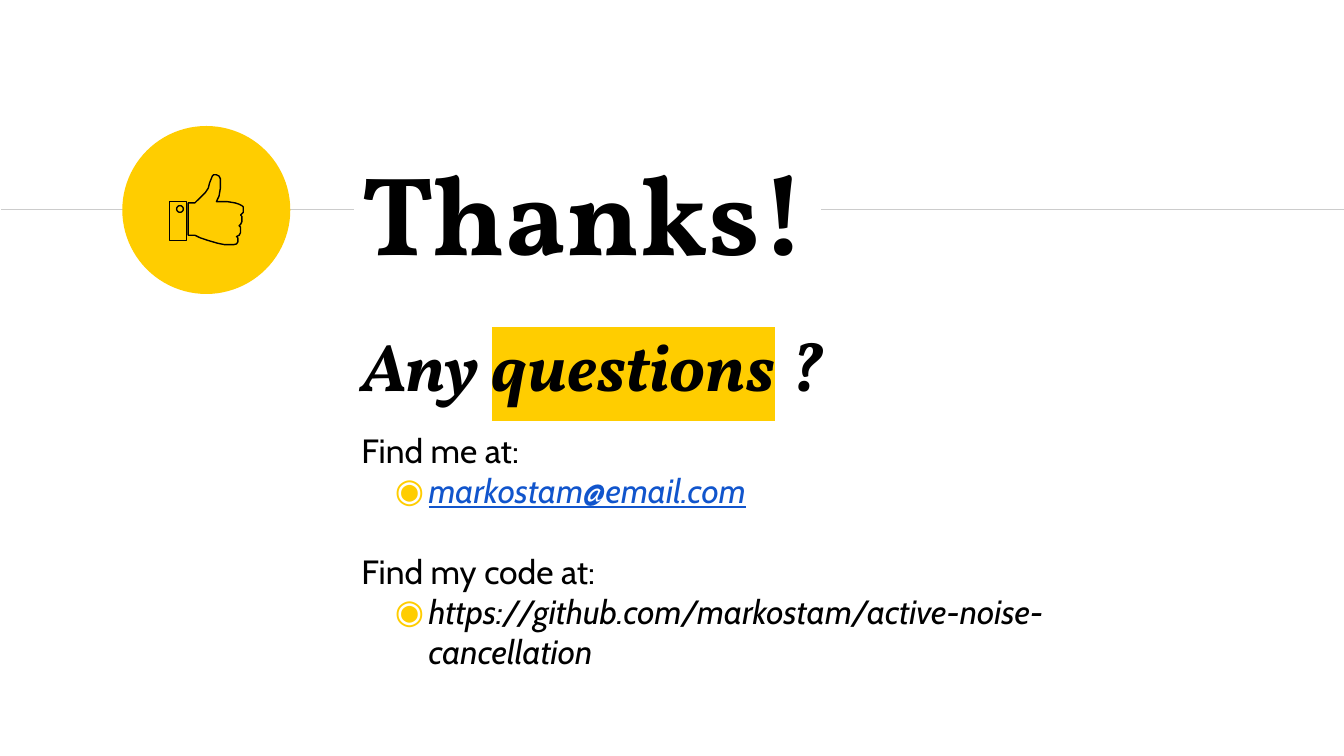
from math import cos, pi, sin

from lxml.etree import SubElement
from pptx import Presentation
from pptx.dml.color import RGBColor
from pptx.enum.shapes import MSO_CONNECTOR as Connector, MSO_SHAPE as Shape
from pptx.enum.text import MSO_ANCHOR as Anchor
from pptx.oxml import parse_xml
from pptx.oxml.ns import nsdecls, qn
from pptx.util import Pt

BLACK = RGBColor(0x00, 0x00, 0x00)
YELLOW = RGBColor(0xFF, 0xCD, 0x00)
GREY = RGBColor(0xCC, 0xCC, 0xCC)
BLUE = RGBColor(0x11, 0x55, 0xCC)
SERIF, SANS = "Vollkorn", "Cabin"

# Content: each paragraph is (layout, runs), each run is (text, format)
QUESTION = dict(font=SERIF, size=36, bold=True, italic=True)
TITLE = [({}, [("Thanks!", dict(font=SERIF, size=60, bold=True))])]
CONTACT = [
    ({}, [("Any ", QUESTION),
          ("questions", dict(QUESTION, highlight=YELLOW)),
          (" ?", QUESTION)]),
    (dict(before=13.5), [("Find me at:", {})]),
    (dict(bullet="◉"),
     [("markostam@email.com", dict(color=BLUE, italic=True, underline=True))]),
    (dict(before=21.6), [("Find my code at:", {})]),
    (dict(bullet="◉"),
     [("https://github.com/markostam/active-noise-cancellation",
       dict(italic=True))]),
]

# Thumb icon outlines, in grid steps
GRID = 0.72
CUFF = [(126, 150), (126, 179), (139, 179), (139, 150)]
BUTTON_CENTER, BUTTON_RADIUS, BUTTON_SIDES = (134, 155.5), 2.5, 16
HAND = [
    (140, 175), (145, 175), (149, 177), (155, 179), (162, 181), (167, 182),
    (174, 182), (176, 181.5), (177, 180), (177, 177), (176, 176), (178, 175),
    (179, 173), (179, 169), (178, 168), (179, 167), (180, 165), (180, 161),
    (179, 160), (180, 159), (181, 158), (181, 154), (180, 153), (178, 152),
    (175, 151), (169, 150), (161, 150), (163, 146), (164, 140), (164, 133),
    (163, 131), (161, 130), (159, 130), (158, 131), (156, 136), (155, 140),
    (153, 143), (148, 148), (145, 151), (140, 151),
]

# Lines on either side of the title, as (start, end)
RULE_Y = 112.3
RULES = [(0.7, 189.4), (439.9, 720)]


def add_run(paragraph, text, font=SANS, size=18, color=BLACK, bold=False,
            italic=False, underline=False, highlight=None):
    run = paragraph.add_run()
    run.text = text
    style = run.font
    style.name, style.size = font, Pt(size)
    style.bold, style.italic, style.underline = bold, italic, underline
    style.color.rgb = color
    if highlight is not None:
        fill = run._r.rPr.find(qn("a:solidFill"))
        fill.addnext(parse_xml(
            f'<a:highlight {nsdecls("a")}><a:srgbClr val="{highlight}"/></a:highlight>'))


def add_bullet(paragraph, mark):
    props = paragraph._p.get_or_add_pPr()
    props.set("marL", str(Pt(36)))
    props.set("indent", str(Pt(-18)))
    tint = SubElement(props, qn("a:buClr"))
    SubElement(tint, qn("a:srgbClr"), val=str(YELLOW))
    SubElement(props, qn("a:buFont"), typeface=SANS)
    SubElement(props, qn("a:buChar"), char=mark)


def add_text(slide, box, paragraphs, inset_top):
    frame = slide.shapes.add_textbox(*map(Pt, box)).text_frame
    frame.word_wrap = True
    frame.vertical_anchor = Anchor.TOP
    frame.margin_left = frame.margin_right = Pt(7.2)
    frame.margin_top, frame.margin_bottom = Pt(inset_top), 0
    for i, (layout, runs) in enumerate(paragraphs):
        paragraph = frame.add_paragraph() if i else frame.paragraphs[0]
        if "bullet" in layout:
            add_bullet(paragraph, layout["bullet"])
        if "before" in layout:
            paragraph.space_before = Pt(layout["before"])
        for text, look in runs:
            add_run(paragraph, text, **look)


def add_outline(group, *contours):
    contours = [[(Pt(x * GRID), Pt(y * GRID)) for x, y in c] for c in contours]
    builder = group.shapes.build_freeform(*contours[0][0])
    for i, contour in enumerate(contours):
        if i:
            builder.move_to(*contour[0])
        builder.add_line_segments(contour[1:], close=True)
    outline = builder.convert_to_shape()
    outline.shadow.inherit = False
    outline.fill.background()
    outline.line.color.rgb = BLACK
    outline.line.width = Pt(0.75)


deck = Presentation()
deck.slide_width, deck.slide_height = Pt(720), Pt(405)
slide = deck.slides.add_slide(deck.slide_layouts[6])

# Rules and text
for start, end in RULES:
    rule = slide.shapes.add_connector(
        Connector.STRAIGHT, Pt(start), Pt(RULE_Y), Pt(end), Pt(RULE_Y))
    rule.line.color.rgb = GREY
    rule.line.width = Pt(0.75)
    SubElement(rule._element.spPr, qn("a:effectLst"))
add_text(slide, (186.5, 164.9, 395.3, 61.9), CONTACT, inset_top=8.7)
add_text(slide, (186.5, 64.1, 386.6, 91.4), TITLE, inset_top=12.6)

# Yellow disc with the thumb icon
disc = slide.shapes.add_shape(Shape.OVAL, Pt(65.5), Pt(67.5), Pt(90), Pt(90))
disc.shadow.inherit = False
disc.fill.solid()
disc.fill.fore_color.rgb = YELLOW
disc.line.fill.background()

center_x, center_y = BUTTON_CENTER
angles = [2 * pi * i / BUTTON_SIDES for i in range(BUTTON_SIDES)]
button = [(center_x + BUTTON_RADIUS * cos(a), center_y + BUTTON_RADIUS * sin(a))
          for a in angles]
thumb = slide.shapes.add_group_shape()
add_outline(thumb, CUFF, button)
add_outline(thumb, HAND)

deck.save("out.pptx")
